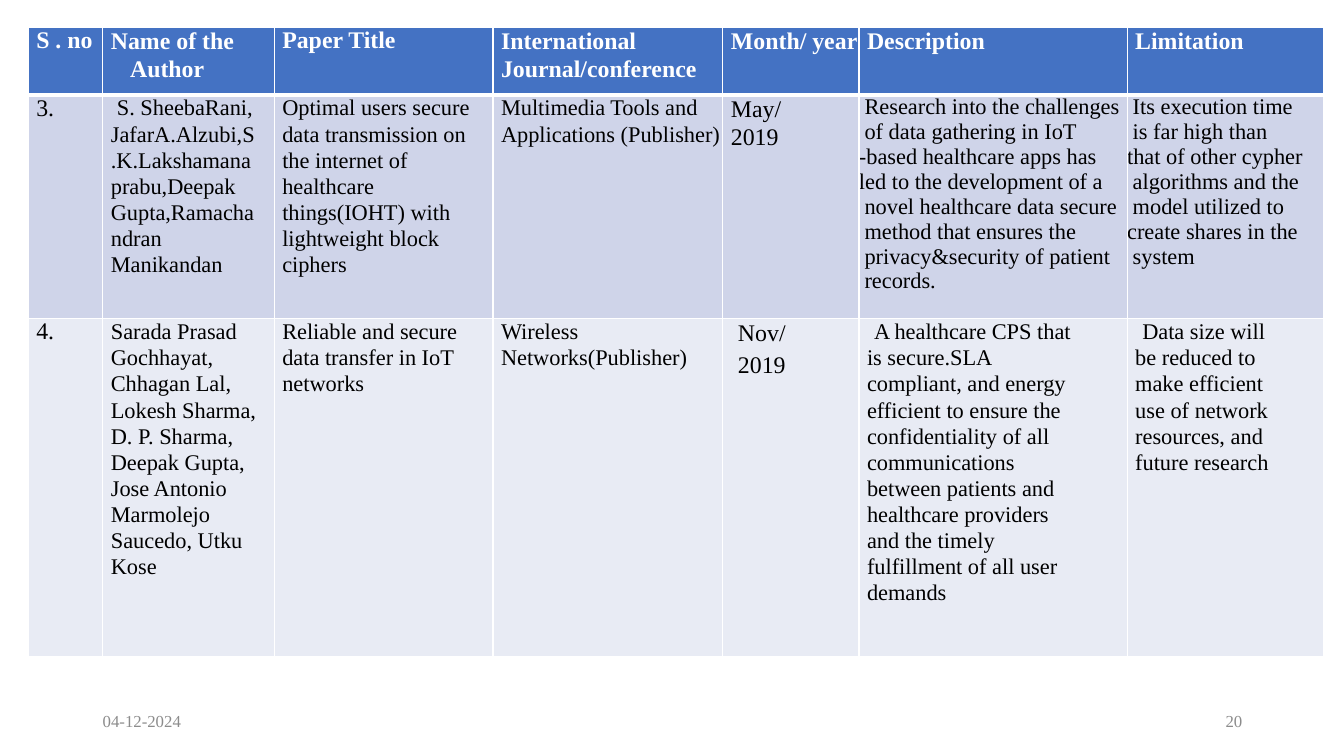
"""Build a literature survey slide: one table, a date and a page number."""
from lxml.etree import SubElement as Sub
from pptx import Presentation
from pptx.dml.color import RGBColor as Rgb
from pptx.enum.text import MSO_ANCHOR as Anchor, PP_ALIGN as Align
from pptx.oxml.ns import qn
from pptx.util import Inches, Pt

FONT = "Times New Roman"
HUES = {"head": "4472C3", "odd": "CFD4E9", "even": "E8EBF4",
        "white": "FFFFFF", "black": "000000", "gray": "8C8C8C"}
COLS = [0.74, 1.7, 2.17, 2.28, 1.35, 2.66, 1.95]
ROWS = [0.67, 2.22, 3.35]
FILLS = ["head", "odd", "even"]
BASE = {"size": 16, "left": 0.08, "first": 0, "line": 1.05, "before": 3.2, "right": 0}
HEAD = {"size": 17}
NUM = {"size": 17, "line": 1}
ODD = {"before": 2.2}
HANG = {"left": 0.38, "first": -0.38, "line": 1, "before": 0}

CELLS = [
    [("S . no", NUM),
     ("Name of the Author", HEAD | {"left": 0.27, "first": -0.19}),
     ("Paper Title", NUM),
     ("International Journal/conference", HEAD),
     ("Month/ year", HEAD),
     ("Description", HEAD),
     ("Limitation", HEAD)],
    [("3.", NUM | ODD),
     ("S. SheebaRani, JafarA.Alzubi,S.K.Lakshamanaprabu,Deepak "
      "Gupta,Ramachandran Manikandan",
      {"first": 0.06, "before": 0.8, "right": 0.17}),
     ("Optimal users secure data transmission on the internet of healthcare "
      "things(IOHT) with lightweight block ciphers", ODD | {"right": 0.1}),
     ("Multimedia Tools and Applications (Publisher)", ODD),
     ("May/ 2019", ODD | {"size": 17, "right": 0.4}),
     (" Research into the challenges\n of data gathering in IoT\n"
      "-based healthcare apps has\nled to the development of a\n"
      " novel healthcare data secure\n method that ensures the\n"
      " privacy&security of patient\n records.", HANG),
     (" Its execution time\n is far high than\nthat of other cypher\n"
      " algorithms and the\n model utilized to\ncreate shares in the\n"
      " system", HANG)],
    [("4.", NUM),
     ("Sarada Prasad Gochhayat, Chhagan Lal, Lokesh Sharma, D. P. Sharma, "
      "Deepak Gupta, Jose Antonio Marmolejo Saucedo, Utku Kose", {"right": 0.17}),
     ("Reliable and secure data transfer in IoT networks", {"right": 0.1}),
     ("Wireless Networks(Publisher)", {}),
     ("Nov/\n2019", {"size": 17, "first": 0.07}),
     ("A healthcare CPS that is secure.SLA \vcompliant, and energy efficient to "
      "ensure the confidentiality of all communications between patients and "
      "healthcare providers and the timely fulfillment of all user demands",
      {"first": 0.07, "right": 0.5}),
     ("Data size will be reduced to make efficient use of network resources, "
      "and future research", {"first": 0.07, "right": 0.42})],
]
NOTES = [("04-12-2024", 0.92, Align.LEFT), ("20", 9.42, Align.RIGHT)]


def hue(name):
    return Rgb.from_string(HUES[name])


def add_run(para, text, size, tint, bold=False):
    run = para.add_run()
    run.text = text
    font = run.font
    font.name, font.size, font.bold = FONT, Pt(size), bold
    font.color.rgb = hue(tint)


def edge(cell, side, width):
    line = Sub(cell._tc.get_or_add_tcPr(), qn("a:ln" + side), w=str(Pt(width)))
    fill = Sub(line, qn("a:solidFill"))
    Sub(fill, qn("a:srgbClr"), val=HUES["white"])


def fill_cell(cell, text, style, row):
    look = BASE | style
    widths = {"L": 1, "R": 1, "T": 3 if row == 1 else 1, "B": 3 if row == 0 else 1}
    for side, width in widths.items():
        edge(cell, side, width)
    cell.fill.solid()
    cell.fill.fore_color.rgb = hue(FILLS[row])
    cell.margin_left = cell.margin_top = cell.margin_bottom = 0
    cell.margin_right = Inches(look["right"])
    frame = cell.text_frame
    for i, part in enumerate(text.split("\n")):
        para = frame.add_paragraph() if i else frame.paragraphs[0]
        props = para._p.get_or_add_pPr()
        props.set("marL", str(Inches(look["left"])))
        props.set("indent", str(Inches(look["first"])))
        para.line_spacing = look["line"]
        para.space_before = Pt(look["before"])
        for j, piece in enumerate(part.split("\v")):
            if j:
                para.add_line_break()
            add_run(para, piece, look["size"], "black" if row else "white", row == 0)


def add_grid(slide):
    table = slide.shapes.add_table(
        len(ROWS), len(COLS), Inches(0.28), Inches(0.27),
        Inches(sum(COLS)), Inches(sum(ROWS))).table
    for col, width in zip(table.columns, COLS):
        col.width = Inches(width)
    for row, height in zip(table.rows, ROWS):
        row.height = Inches(height)
    for r, line in enumerate(CELLS):
        for c, (text, style) in enumerate(line):
            fill_cell(table.cell(r, c), text, style, r)


def add_note(slide, text, left, align):
    box = slide.shapes.add_textbox(Inches(left), Inches(6.95), Inches(3), Inches(0.4))
    frame = box.text_frame
    frame.word_wrap = True
    frame.vertical_anchor = Anchor.MIDDLE
    para = frame.paragraphs[0]
    para.alignment = align
    add_run(para, text, 12, "gray")


def main():
    deck = Presentation()
    deck.slide_width, deck.slide_height = Inches(13.33), Inches(7.5)
    slide = deck.slides.add_slide(deck.slide_layouts[6])
    for note in NOTES:
        add_note(slide, *note)
    add_grid(slide)
    deck.save("out.pptx")


if __name__ == "__main__":
    main()
